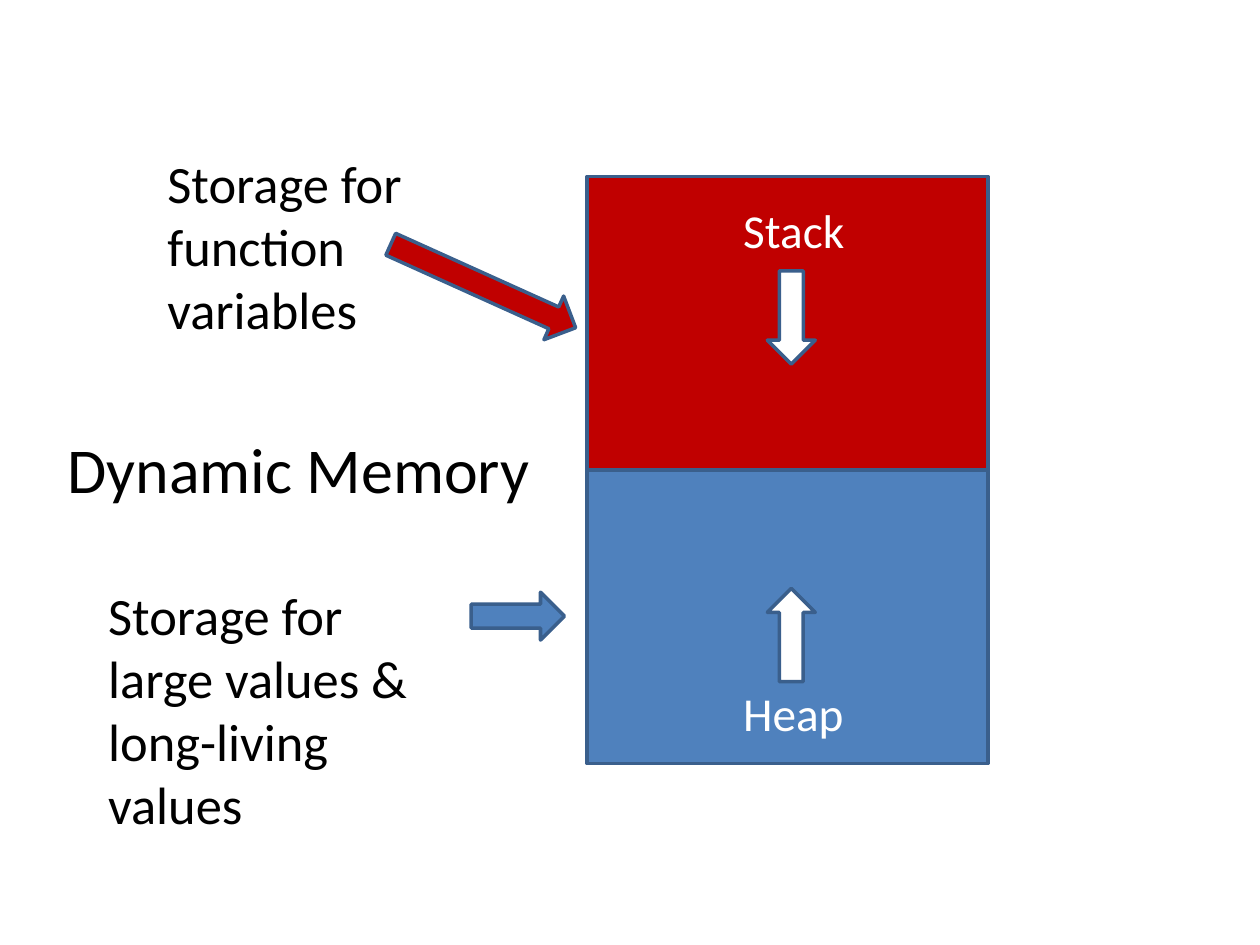
from dataclasses import dataclass

from pptx import Presentation
from pptx.dml.color import RGBColor
from pptx.enum.shapes import MSO_SHAPE
from pptx.enum.text import MSO_ANCHOR, PP_ALIGN
from pptx.util import Inches, Pt


@dataclass(frozen=True)
class Theme:
    """Font, colours and type sizes of the slide."""
    font: str = "Calibri"
    ink: str = "000000"
    white: str = "FFFFFF"
    stack: str = "C00000"
    heap: str = "4F81BD"
    outline: str = "3A5F8C"
    line: float = 2
    title: float = 36.5
    note: float = 30
    label: float = 27


THEME = Theme()

TITLE = ("Dynamic Memory", (0.41, 3.17, 3.92, 1.09))
REGION_LEFT, REGION_TOP, REGION_WIDTH, REGION_HEIGHT = 4.66, 1.4, 3.18, 2.33
REGIONS = [THEME.stack, THEME.heap]
NOTES = [
    ("Storage for large values & long-living values", (0.76, 4.58, 2.98, 2.12)),
    ("Storage for function variables", (1.23, 1.15, 2.45, 1.62)),
]
LABELS = [("Stack", (5.8, 1.55, 1.01, 0.56)), ("Heap", (5.8, 5.38, 1, 0.56))]
ARROW_HEIGHT = 0.38
ARROWS = [  # left, top, width, rotation, fill
    (3.03, 2.08, 1.61, 24.3, THEME.stack),
    (3.74, 4.7, 0.74, 0, THEME.heap),
    (5.91, 2.33, 0.74, 90, THEME.white),
    (5.91, 4.85, 0.74, 270, THEME.white),
]


def write(sp, text, size, color=THEME.ink, align=PP_ALIGN.LEFT,
          anchor=MSO_ANCHOR.TOP, wrap=True):
    """Put formatted text into a shape."""
    tf = sp.text_frame
    tf.word_wrap = wrap
    tf.vertical_anchor = anchor
    p = tf.paragraphs[0]
    p.alignment = align
    r = p.add_run()
    r.text = text
    r.font.name = THEME.font
    r.font.size = Pt(size)
    r.font.color.rgb = RGBColor.from_string(color)


def add_text(s, text, box, size, **fmt):
    """Add a text box at an inch-based box."""
    write(s.shapes.add_textbox(*map(Inches, box)), text, size, **fmt)


def add_block(s, kind, box, fill, rotation=0):
    """Add an outlined, filled preset shape."""
    sp = s.shapes.add_shape(kind, *map(Inches, box))
    sp.shadow.inherit = False
    sp.fill.solid()
    sp.fill.fore_color.rgb = RGBColor.from_string(fill)
    sp.line.color.rgb = RGBColor.from_string(THEME.outline)
    sp.line.width = Pt(THEME.line)
    sp.rotation = rotation


def build():
    """Build and save the memory slide."""
    prs = Presentation()
    prs.slide_width, prs.slide_height = Inches(10), Inches(7.5)
    s = prs.slides.add_slide(prs.slide_layouts[5])

    text, box = TITLE
    title = s.shapes.title
    title.left, title.top, title.width, title.height = map(Inches, box)
    write(title, text, THEME.title, align=PP_ALIGN.CENTER, anchor=MSO_ANCHOR.MIDDLE)

    for i, fill in enumerate(REGIONS):
        top = REGION_TOP + i * REGION_HEIGHT
        add_block(s, MSO_SHAPE.RECTANGLE,
                  (REGION_LEFT, top, REGION_WIDTH, REGION_HEIGHT), fill)
    for text, box in NOTES:
        add_text(s, text, box, THEME.note)
    for text, box in LABELS:
        add_text(s, text, box, THEME.label, color=THEME.white, wrap=False)
    for left, top, width, rotation, fill in ARROWS:
        add_block(s, MSO_SHAPE.RIGHT_ARROW, (left, top, width, ARROW_HEIGHT),
                  fill, rotation)

    prs.save("out.pptx")


build()
